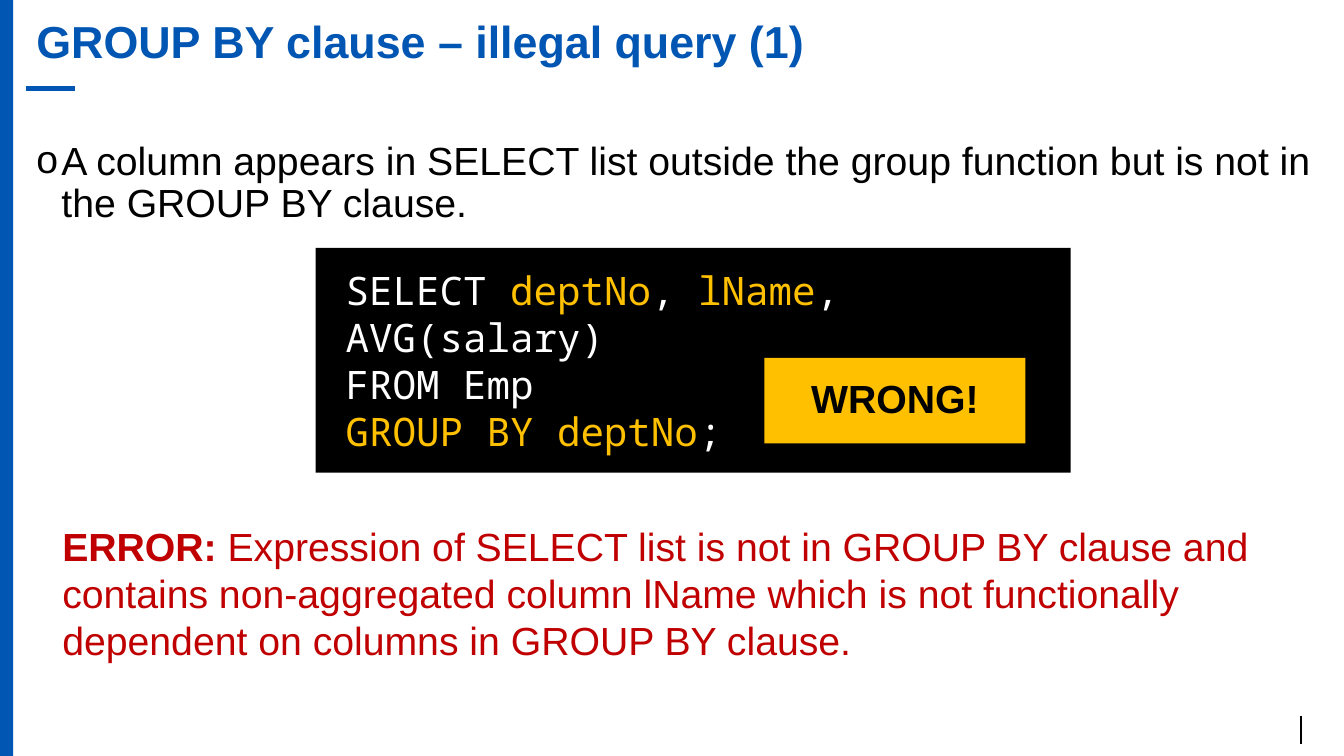
import pptx
import pptx.util
import pptx.dml.color
import pptx.enum.shapes
import pptx.enum.text
import pptx.oxml
import pptx.oxml.ns
from pptx.util import Inches

COLORS = {"blue": "0056B2", "black": "000000", "white": "FFFFFF",
          "amber": "FFC000", "red": "C00000"}
SANS, MONO = "Arial", "Noto Sans Mono"

# Each paragraph is a list of (text, color, bold) spans.
TITLE = [[("GROUP BY clause – illegal query (1)", "blue", True)]]
RULE = [[("A column appears in SELECT list outside the group function "
          "but is not in the GROUP BY clause.", "black", False)]]
QUERY = [
    [("SELECT ", "white", False), ("deptNo", "amber", False), (", ", "white", False),
     ("lName", "amber", False), (", AVG(salary)", "white", False)],
    [("FROM Emp", "white", False)],
    [("GROUP BY deptNo", "amber", False), (";", "white", False)],
]
VERDICT = [[("WRONG!", "black", True)]]
ERROR = [[("ERROR:", "red", True),
          (" Expression of SELECT list is not in GROUP BY clause and contains "
           "non-aggregated column lName which is not functionally dependent on "
           "columns in GROUP BY clause.", "red", False)]]

ALIGN = pptx.enum.text.PP_ALIGN
ANCHOR = pptx.enum.text.MSO_ANCHOR


def rgb(name):
    return pptx.dml.color.RGBColor.from_string(COLORS[name])


def place(box, left, top, width, height):
    box.left, box.top = Inches(left), Inches(top)
    box.width, box.height = Inches(width), Inches(height)


def set_indent(para, left, hanging=0, bullet=None):
    props = para._p.get_or_add_pPr()
    props.set("marL", str(Inches(left)))
    props.set("indent", str(-Inches(hanging)))
    if bullet:
        ns = pptx.oxml.ns.nsdecls("a")
        for xml in (f'<a:buFont {ns} typeface="{SANS}"/>',
                    f'<a:buChar {ns} char="{bullet}"/>'):
            props.append(pptx.oxml.parse_xml(xml))


def write(box, paragraphs, size=28, font=SANS, align=ALIGN.LEFT, anchor=ANCHOR.TOP,
          spacing=1.0, left=0, hanging=0, bullet=None):
    frame = box.text_frame
    frame.word_wrap = True
    frame.auto_size = pptx.enum.text.MSO_AUTO_SIZE.NONE
    frame.vertical_anchor = anchor
    for index, spans in enumerate(paragraphs):
        para = frame.add_paragraph() if index else frame.paragraphs[0]
        set_indent(para, left, hanging, bullet)
        para.alignment = align
        para.line_spacing = spacing
        para.space_before = pptx.util.Pt(0)
        for text, color, bold in spans:
            span = para.add_run()
            span.text = text
            span.font.name = font
            span.font.size = pptx.util.Pt(size)
            span.font.bold = bold
            span.font.color.rgb = rgb(color)


def add_block(shapes, color, left, top, width, height):
    block = shapes.add_shape(pptx.enum.shapes.MSO_SHAPE.RECTANGLE, Inches(left),
                             Inches(top), Inches(width), Inches(height))
    block.shadow.inherit = False
    block.fill.solid()
    block.fill.fore_color.rgb = rgb(color)
    block.line.fill.background()
    return block


def add_line(shapes, color, weight, x1, y1, x2, y2):
    line = shapes.add_connector(pptx.enum.shapes.MSO_CONNECTOR.STRAIGHT, Inches(x1),
                                Inches(y1), Inches(x2), Inches(y2))
    line.line.color.rgb = rgb(color)
    line.line.width = pptx.util.Pt(weight)
    line._element.spPr.append(
        pptx.oxml.parse_xml(f'<a:effectLst {pptx.oxml.ns.nsdecls("a")}/>'))


def main():
    deck = pptx.Presentation()
    deck.slide_width, deck.slide_height = Inches(13.33), Inches(7.5)
    page = deck.slides.add_slide(deck.slide_layouts[1])
    shapes = page.shapes

    add_block(shapes, "blue", 0, 0, 0.13, 7.5)
    add_line(shapes, "black", 1.5, 12.9, 7.1, 12.9, 7.38)
    add_line(shapes, "blue", 4, 0.74, 0.88, 0.26, 0.88)

    place(shapes.title, 0.26, 0, 13.1, 0.88)
    write(shapes.title, TITLE, size=32, anchor=ANCHOR.MIDDLE, spacing=0.9)

    body = page.placeholders[1]
    place(body, 0.26, 1.35, 12.89, 1)
    write(body, RULE, spacing=0.9, left=0.25, hanging=0.25, bullet="o")

    example = shapes.add_group_shape().shapes
    query = add_block(example, "black", 3.13, 2.46, 7.49, 2.23)
    write(query, QUERY, font=MONO, anchor=ANCHOR.MIDDLE, left=0.2)
    verdict = add_block(example, "amber", 7.58, 3.55, 2.59, 0.85)
    write(verdict, VERDICT, align=ALIGN.CENTER, anchor=ANCHOR.MIDDLE, spacing=0.9)

    error = shapes.add_textbox(Inches(0.52), Inches(5.13), Inches(12.53), Inches(1.5))
    write(error, ERROR)

    deck.save("out.pptx")


if __name__ == "__main__":
    main()
